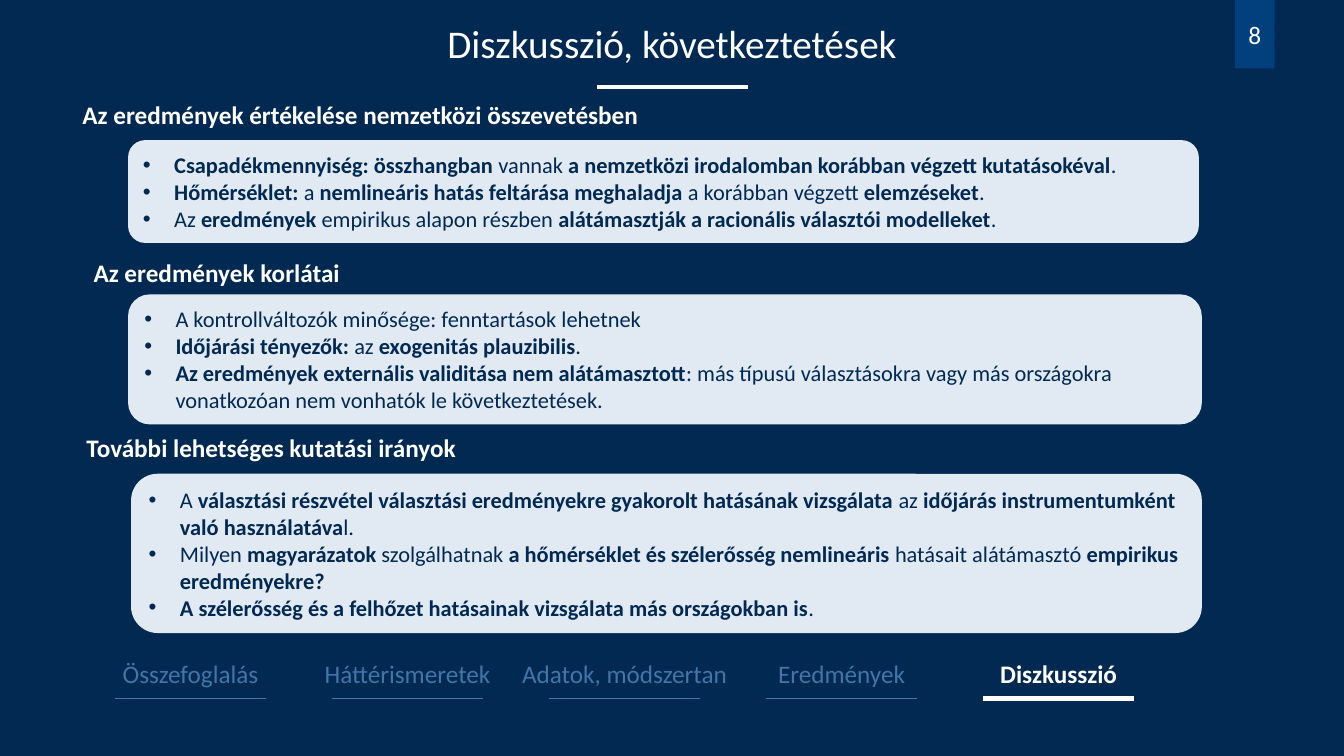
import pptx
import pptx.util
import pptx.oxml
import pptx.dml.color
import pptx.enum.shapes
import pptx.enum.text
from pptx.util import Inches

# Content: text between ** marks is bold
TITLE = "Diszkusszió, következtetések"
PAGE = "8"
SECTIONS = [  # heading, its (left, top), card (left, top, width, height), bullets
    ("Az eredmények értékelése nemzetközi összevetésben", (0.72, 0.94), (1.27, 1.39, 10.62, 1.02), [
        "**Csapadékmennyiség: összhangban** vannak **a nemzetközi irodalomban korábban végzett kutatásokéval**.",
        "**Hőmérséklet: **a **nemlineáris hatás feltárása meghaladja **a korábban végzett **elemzéseket**.",
        "Az **eredmények** empirikus alapon részben **alátámasztják a racionális választói modelleket**."]),
    ("Az eredmények korlátai", (0.83, 2.5), (1.27, 2.92, 10.65, 1.29), [
        "A kontrollváltozók minősége: fenntartások lehetnek",
        "**Időjárási tényezők: **az **exogenitás plauzibilis**.",
        "**Az eredmények externális validitása nem alátámasztott**: más típusú választásokra "
        "vagy más országokra vonatkozóan nem vonhatók le következtetések."]),
    ("További lehetséges kutatási irányok", (0.76, 4.24), (1.3, 4.7, 10.62, 1.58), [
        "A **választási részvétel választási eredményekre gyakorolt hatásának vizsgálata **az "
        "**időjárás instrumentumként való használatáva**l.",
        "Milyen **magyarázatok **szolgálhatnak **a hőmérséklet és szélerősség nemlineáris **hatásait "
        "alátámasztó **empirikus eredményekre?**",
        "**A szélerősség és a felhőzet hatásainak vizsgálata más országokban is**."]),
]
CHAPTERS = ["Összefoglalás", "Háttérismeretek", "Adatok, módszertan", "Eredmények", "Diszkusszió"]
CURRENT = "Diszkusszió"

COLORS = {"navy": "012952", "tab": "013F7D", "card": "E1EAF3", "muted": "4275A8", "white": "FFFFFF"}
FONT = "Calibri"
BULLET_INDENT = 0.31
RULE_W = 1.5
NAV_FIRST, NAV_LAST = 1.89, 10.5  # centres of the outer chapter labels
NAV_W, NAV_TOP, NAV_RULE_Y = 2.06, 6.48, 6.93

ALIGN = pptx.enum.text.PP_ALIGN
ANCHOR = pptx.enum.text.MSO_ANCHOR
SHAPE = pptx.enum.shapes.MSO_SHAPE


def rgb(name):
    return pptx.dml.color.RGBColor.from_string(COLORS[name])


def write(sp, text, size=18, color="white", align=ALIGN.LEFT, anchor=ANCHOR.TOP, bullets=False, inset=0.1):
    tf = sp.text_frame
    tf.word_wrap = True
    tf.auto_size = pptx.enum.text.MSO_AUTO_SIZE.NONE
    tf.vertical_anchor = anchor
    tf.margin_left = tf.margin_right = Inches(inset)
    for i, line in enumerate(text.split("\n")):
        p = tf.add_paragraph() if i else tf.paragraphs[0]
        p.alignment = align
        if bullets:
            pPr = p._p.get_or_add_pPr()
            pPr.set("marL", str(Inches(BULLET_INDENT)))
            pPr.set("indent", str(-Inches(BULLET_INDENT)))
            pPr.append(pptx.oxml.parse_xml(
                '<a:buFont xmlns:a="http://schemas.openxmlformats.org/drawingml/2006/main" typeface="Arial"/>'))
            pPr.append(pptx.oxml.parse_xml(
                '<a:buChar xmlns:a="http://schemas.openxmlformats.org/drawingml/2006/main" char="•"/>'))
        for j, part in enumerate(line.split("**")):
            if part:
                r = p.add_run()
                r.text = part
                r.font.name = FONT
                r.font.size = pptx.util.Pt(size)
                r.font.bold = j % 2 == 1
                r.font.color.rgb = rgb(color)


def add_box(s, kind, box, fill):
    sp = s.shapes.add_shape(kind, *map(Inches, box))
    sp.shadow.inherit = False
    sp.fill.solid()
    sp.fill.fore_color.rgb = rgb(fill)
    sp.line.fill.background()
    return sp


def add_rule(s, center, y, color, weight):
    x1, x2 = center - RULE_W / 2, center + RULE_W / 2
    line = s.shapes.add_connector(pptx.enum.shapes.MSO_CONNECTOR.STRAIGHT,
                                  Inches(x1), Inches(y), Inches(x2), Inches(y))
    line.line.color.rgb = rgb(color)
    line.line.width = pptx.util.Pt(weight)
    line._element.spPr.append(pptx.oxml.parse_xml(
        '<a:effectLst xmlns:a="http://schemas.openxmlformats.org/drawingml/2006/main"/>'))


def main():
    prs = pptx.Presentation()
    prs.slide_width, prs.slide_height = Inches(13.33), Inches(7.5)
    s = prs.slides.add_slide(prs.slide_layouts[5])
    s.background.fill.solid()
    s.background.fill.fore_color.rgb = rgb("navy")

    # Title, its rule and the page tab
    title = s.shapes.title
    title.left, title.top, title.width, title.height = map(Inches, (3.98, 0.14, 5.37, 0.57))
    write(title, TITLE, size=28, align=ALIGN.CENTER)
    add_rule(s, 6.67, 0.86, "white", 3)
    tab = add_box(s, SHAPE.RECTANGLE, (12.25, 0, 0.39, 0.68), "tab")
    write(tab, PAGE, align=ALIGN.CENTER, anchor=ANCHOR.MIDDLE)

    # Headings with their cards
    for heading, (left, top), card_box, bullets in SECTIONS:
        label = s.shapes.add_textbox(Inches(left), Inches(top), Inches(6.36), Inches(0.4))
        write(label, f"**{heading}**")
        card = add_box(s, SHAPE.ROUNDED_RECTANGLE, card_box, "card")
        write(card, "\n".join(bullets), size=16, color="navy", anchor=ANCHOR.MIDDLE, bullets=True)

    # Chapter navigation
    pitch = (NAV_LAST - NAV_FIRST) / (len(CHAPTERS) - 1)
    for i, chapter in enumerate(CHAPTERS):
        center = NAV_FIRST + i * pitch
        active = chapter == CURRENT
        color = "white" if active else "muted"
        label = s.shapes.add_textbox(Inches(center - NAV_W / 2), Inches(NAV_TOP), Inches(NAV_W), Inches(0.4))
        write(label, f"**{chapter}**" if active else chapter, color=color, align=ALIGN.CENTER, inset=0)
        add_rule(s, center, NAV_RULE_Y, color, 3 if active else 0.5)

    prs.save("out.pptx")


if __name__ == "__main__":
    main()
